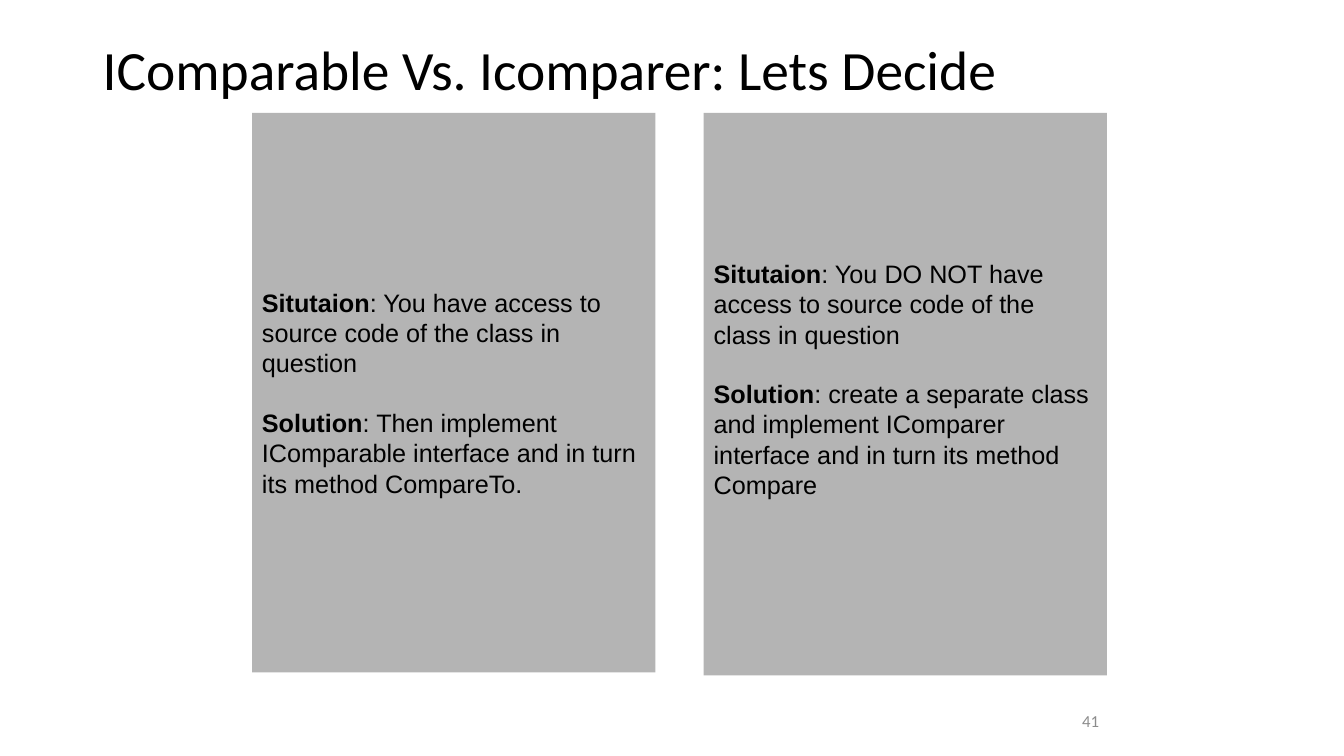
"""Build the slide that helps choose between IComparable and IComparer."""
from pptx import Presentation
from pptx.dml.color import RGBColor
from pptx.enum.shapes import MSO_SHAPE
from pptx.enum.text import MSO_ANCHOR, PP_ALIGN
from pptx.util import Inches, Pt


def color(value):
    return RGBColor.from_string(value)


def write(para, text, font="Arial", size=18, ink="000000", bold=False):
    span = para.add_run()
    span.text = text
    span.font.name = font
    span.font.size = Pt(size)
    span.font.bold = bold
    span.font.color.rgb = color(ink)


deck = Presentation()
deck.slide_width, deck.slide_height = Inches(13.33), Inches(7.5)
page = deck.slides.add_slide(deck.slide_layouts[6])

labels = [
    ("IComparable Vs. Icomparer: Lets Decide", (0.92, 0.4, 11.49, 0.63),
     PP_ALIGN.LEFT, 0.9, 39.6, "000000"),
    ("41", (8.67, 6.95, 2.33, 0.4), PP_ALIGN.RIGHT, 1.0, 12, "8C8C8C"),
]
for text, place, align, spacing, size, ink in labels:
    box = page.shapes.add_textbox(*map(Inches, place))
    box.text_frame.word_wrap = True
    box.text_frame.vertical_anchor = MSO_ANCHOR.MIDDLE
    para = box.text_frame.paragraphs[0]
    para.alignment = align
    para.line_spacing = spacing
    write(para, text, font="Calibri", size=size, ink=ink)

panel_left, panel_top, panel_width, panel_step = 2.5, 1.12, 4, 4.48
panels = [
    (5.55, 0.05,
     "You have access to source code of the class in question",
     "Then implement IComparable interface and in turn its method CompareTo."),
    (5.58, 0.35,
     "You DO NOT have access to source code of the class in question",
     "create a separate class and implement IComparer interface and in turn "
     "its method Compare"),
]
for column, (height, bottom_margin, situation, solution) in enumerate(panels):
    panel = page.shapes.add_shape(
        MSO_SHAPE.RECTANGLE, Inches(panel_left + column * panel_step),
        Inches(panel_top), Inches(panel_width), Inches(height))
    panel.shadow.inherit = False
    panel.fill.solid()
    panel.fill.fore_color.rgb = color("B4B4B4")
    panel.line.fill.background()
    frame = panel.text_frame
    frame.word_wrap = True
    frame.vertical_anchor = MSO_ANCHOR.MIDDLE
    frame.margin_bottom = Inches(bottom_margin)
    first, second = frame.paragraphs[0], frame.add_paragraph()
    second.space_before = Pt(21)
    for para, heading, text in ((first, "Situtaion", situation),
                                (second, "Solution", solution)):
        para.alignment = PP_ALIGN.LEFT
        write(para, heading, bold=True)
        write(para, f": {text}")

deck.save("out.pptx")
